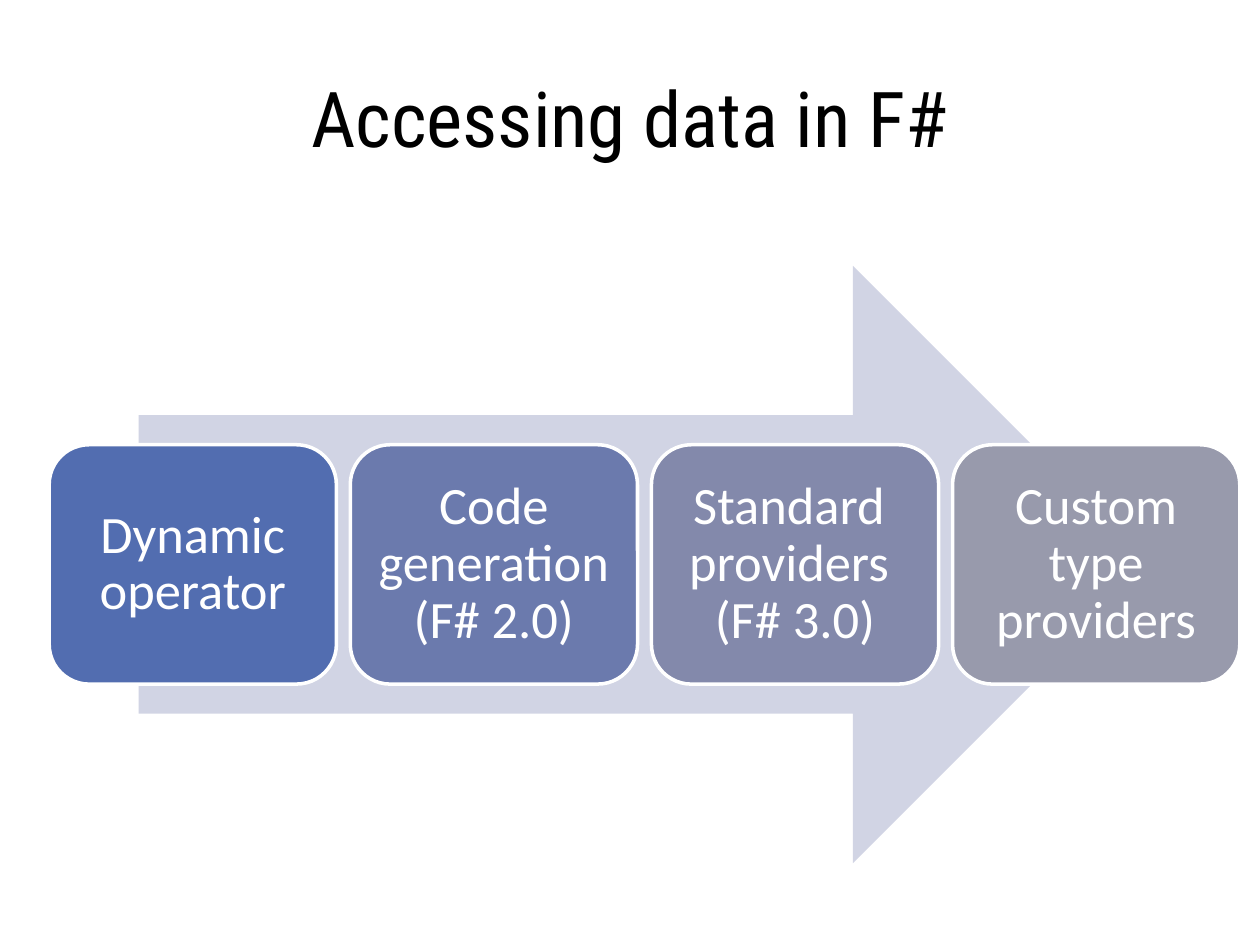
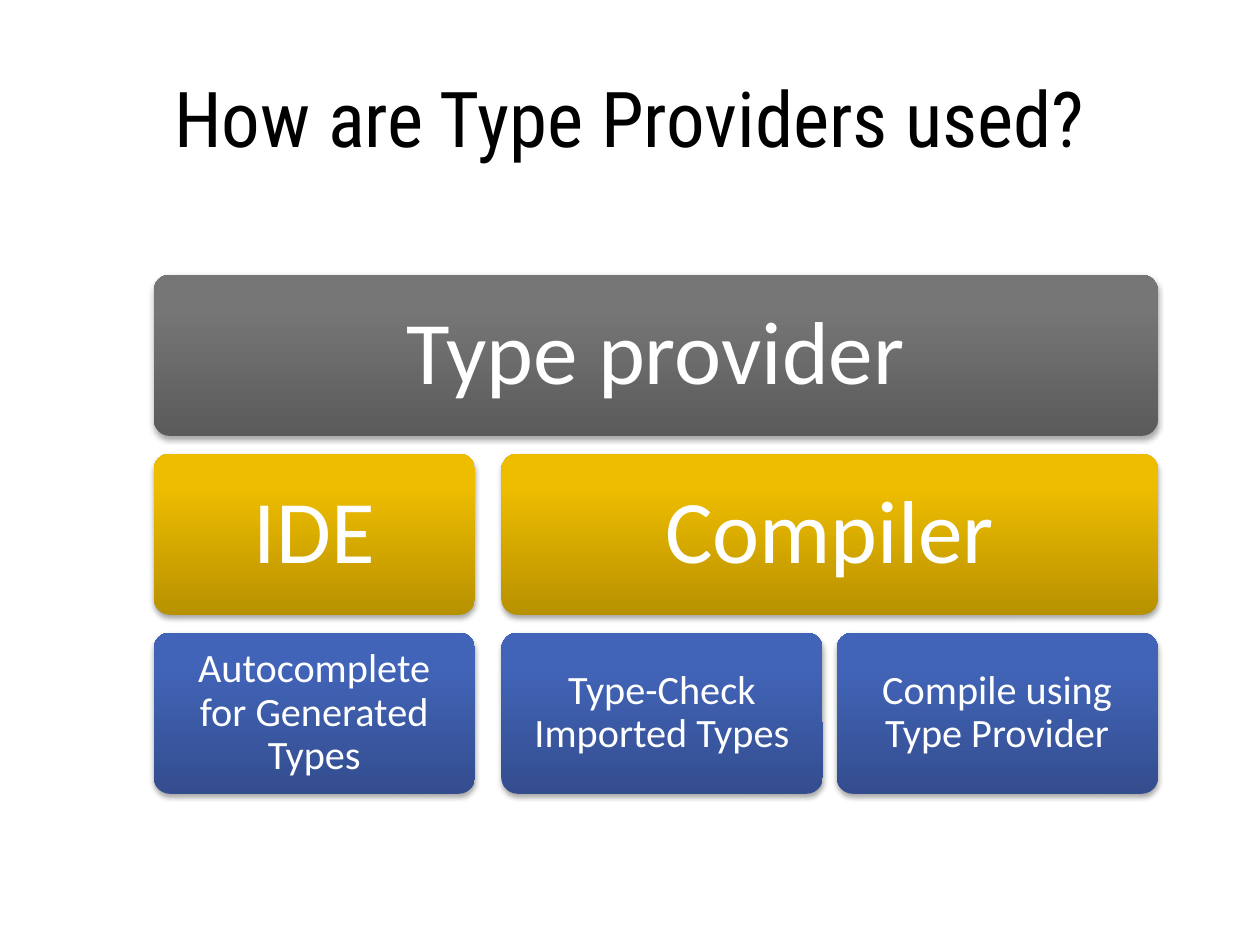
from copy import deepcopy

from lxml import etree
from pptx import Presentation
from pptx.dml.color import RGBColor
from pptx.enum.shapes import MSO_SHAPE
from pptx.enum.text import MSO_ANCHOR, PP_ALIGN
from pptx.oxml.ns import qn
from pptx.util import Inches, Pt

ROUND = MSO_SHAPE.ROUNDED_RECTANGLE
ARROW = MSO_SHAPE.RIGHT_ARROW
MIDDLE = MSO_ANCHOR.MIDDLE
CENTER = PP_ALIGN.CENTER
WHITE, BLACK = "FFFFFF", "000000"
GRAY = ("5B5B5B", "767676", "777777")
GOLD = ("B89100", "EEBD00", "EFBD00")
BLUE = ("334D8E", "4264B8", "4063BB")


def color(code):
    return RGBColor.from_string(code)


def write(shape, text, size, font="Calibri", ink=WHITE, inset=0.1, spacing=0.9):
    """Fill a shape with one centred paragraph."""
    frame = shape.text_frame
    frame.word_wrap = True
    frame.vertical_anchor = MIDDLE
    frame.margin_left = frame.margin_right = Inches(inset)
    frame.margin_top = frame.margin_bottom = Inches(inset)
    para = frame.paragraphs[0]
    para.text = text
    para.alignment = CENTER
    para.line_spacing = spacing
    for run in para.runs:
        run.font.size = Pt(size)
        run.font.name = font
        run.font.color.rgb = color(ink)


deck = Presentation()
deck.slide_width, deck.slide_height = Inches(10), Inches(7.5)
slides = []
for title in ("Accessing data in F#", "How are Type Providers used?"):
    slide = deck.slides.add_slide(deck.slide_layouts[6])
    box = slide.shapes.add_textbox(Inches(0.5), Inches(0.3), Inches(9), Inches(1.25))
    write(box, title, 44, font="Roboto Condensed", ink=BLACK, spacing=1.0)
    slides.append(slide)
access, usage = slides

# Slide 1: four steps on an arrow
arrow = access.shapes.add_shape(ARROW, Inches(1.1), Inches(2.11), Inches(8.04), Inches(4.74))
arrow.shadow.inherit = False
arrow.fill.solid()
arrow.fill.fore_color.rgb = color("D1D4E4")
arrow.line.fill.background()

steps = [
    ("Dynamic operator", "526DB0"),
    ("Code generation (F# 2.0)", "6B7AAD"),
    ("Standard \nproviders \n(F# 3.0)", "8389AB"),
    ("Custom type providers", "989AAC"),
]
for i, (text, tint) in enumerate(steps):
    step = access.shapes.add_shape(
        ROUND, Inches(0.39 + 2.39 * i), Inches(3.53), Inches(2.28), Inches(1.9))
    step.shadow.inherit = False
    step.fill.solid()
    step.fill.fore_color.rgb = color(tint)
    step.line.color.rgb = color(WHITE)
    step.line.width = Pt(2)
    write(step, text, 30, inset=0.12)

# Slide 2: blocks as (text, row, first column, last column)
cols = (1.22, 3.98, 6.64)
width, height, pitch = 2.55, 1.28, 1.42
rows = [(GRAY, 51, 0.21), (GOLD, 51, 0.21), (BLUE, 23, 0.1)]
blocks = [
    ("Type provider", 0, 0, 2),
    ("IDE", 1, 0, 0),
    ("Autocomplete for Generated Types", 2, 0, 0),
    ("Compiler", 1, 1, 2),
    ("Type-Check Imported Types", 2, 1, 1),
    ("Compile using Type Provider", 2, 2, 2),
]
for text, row, first, last in blocks:
    tints, size, inset = rows[row]
    block = usage.shapes.add_shape(
        ROUND, Inches(cols[first]), Inches(2.18 + pitch * row),
        Inches(cols[last] + width - cols[first]), Inches(height))
    block.adjustments[0] = 0.1
    block.line.fill.background()
    block.fill.gradient()
    block.fill.gradient_angle = 90
    props = block._element.spPr
    stops = props.find(qn("a:gradFill")).find(qn("a:gsLst"))
    stops.append(deepcopy(stops[0]))
    for stop, tint, place in zip(block.fill.gradient_stops, tints, (0, 0.8, 1)):
        stop.color.rgb = color(tint)
        stop.position = place

    block.shadow.inherit = False
    shade = etree.SubElement(
        props.find(qn("a:effectLst")), qn("a:outerShdw"), blurRad=str(Pt(3.1)),
        dist=str(Pt(1.8)), dir="5400000", rotWithShape="0")
    ink = etree.SubElement(shade, qn("a:srgbClr"), val=BLACK)
    etree.SubElement(ink, qn("a:alpha"), val="35000")
    write(block, text, size, inset=inset)

deck.save("out.pptx")
